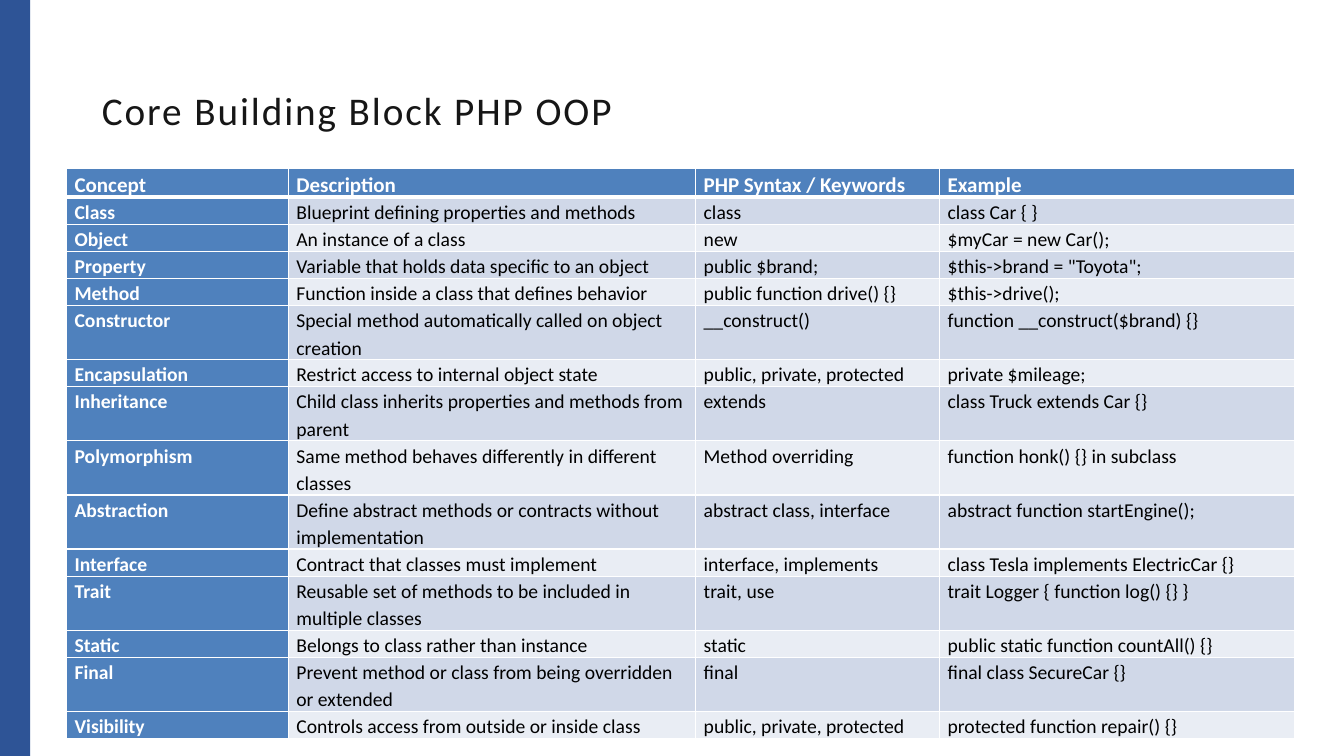
from dataclasses import dataclass

from lxml.etree import SubElement
from pptx import Presentation
from pptx.dml.color import RGBColor
from pptx.enum.shapes import MSO_SHAPE
from pptx.enum.text import MSO_ANCHOR, MSO_AUTO_SIZE, PP_ALIGN
from pptx.oxml.ns import qn
from pptx.slide import Slide
from pptx.util import Inches, Pt

SLIDE_COLUMNS, SLIDE_ROWS = 53.32, 30
BAR_COLUMNS = 1.2
CONCEPT_COLUMNS = (8.8, 16.16, 9.68, 14.08)
ROW_HEIGHT, TALL_ROW_HEIGHT = 0.84, 1.72
TALL_CONCEPTS = ("Abstraction", "Trait", "Final")

CONCEPTS = (
    ("Concept", "Description", "PHP Syntax / Keywords", "Example"),
    ("Class", "Blueprint defining properties and methods", "class", "class Car { }"),
    ("Object", "An instance of a class", "new", "$myCar = new Car();"),
    ("Property", "Variable that holds data specific to an object",
     "public $brand;", '$this->brand = "Toyota";'),
    ("Method", "Function inside a class that defines behavior",
     "public function drive() {}", "$this->drive();"),
    ("Constructor", "Special method automatically called on object creation",
     "__construct()", "function __construct($brand) {}"),
    ("Encapsulation", "Restrict access to internal object state",
     "public, private, protected", "private $mileage;"),
    ("Inheritance", "Child class inherits properties and methods from parent",
     "extends", "class Truck extends Car {}"),
    ("Polymorphism", "Same method behaves differently in different classes",
     "Method overriding", "function honk() {} in subclass"),
    ("Abstraction", "Define abstract methods or contracts without implementation",
     "abstract class, interface", "abstract function startEngine();"),
    ("Interface", "Contract that classes must implement",
     "interface, implements", "class Tesla implements ElectricCar {}"),
    ("Trait", "Reusable set of methods to be included in multiple classes",
     "trait, use", "trait Logger { function log() {} }"),
    ("Static", "Belongs to class rather than instance",
     "static", "public static function countAll() {}"),
    ("Final", "Prevent method or class from being overridden or extended",
     "final", "final class SecureCar {}"),
    ("Visibility", "Controls access from outside or inside class",
     "public, private, protected", "protected function repair() {}"),
)


def grid(units):
    """Length of a number of grid columns or rows, each a quarter inch."""
    return Inches(units * 0.25)


def color(hex_string):
    return RGBColor.from_string(hex_string)


@dataclass
class SlideBuilder:
    slide: Slide
    font_name: str = "Calibri"
    title_color: str = "161616"
    bar_color: str = "2E5496"
    header_color: str = "4F81BD"
    band_colors: tuple = ("E9EDF4", "D0D8E8")
    light: str = "FFFFFF"
    dark: str = "000000"

    def format_runs(self, paragraph, size, hex_string, bold=False):
        for run in paragraph.runs:
            run.font.name = self.font_name
            run.font.size = Pt(size)
            run.font.bold = bold
            run.font.color.rgb = color(hex_string)

    def add_title(self, text, left, top, width, height):
        title = self.slide.shapes.title
        title.left, title.top = grid(left), grid(top)
        title.width, title.height = grid(width), grid(height)
        frame = title.text_frame
        frame.text = text
        frame.word_wrap = True
        frame.auto_size = MSO_AUTO_SIZE.SHAPE_TO_FIT_TEXT
        frame.vertical_anchor = MSO_ANCHOR.TOP
        frame.margin_left = frame.margin_right = frame.margin_bottom = 0
        frame.margin_top = grid(0.88)
        paragraph = frame.paragraphs[0]
        paragraph.alignment = PP_ALIGN.LEFT
        paragraph._p.get_or_add_pPr().set("marL", str(Inches(0.01)))
        self.format_runs(paragraph, 28, self.title_color)
        for run in paragraph.runs:
            run._r.get_or_add_rPr().set("spc", "140")

    def add_bar(self, left, top, width, height):
        bar = self.slide.shapes.add_shape(
            MSO_SHAPE.RECTANGLE, grid(left), grid(top), grid(width), grid(height))
        bar.shadow.inherit = False
        bar.fill.solid()
        bar.fill.fore_color.rgb = color(self.bar_color)
        bar.line.fill.background()

    def add_table(self, rows, left, top, height, column_widths, row_heights):
        graphic_frame = self.slide.shapes.add_table(
            len(rows), len(column_widths), grid(left), grid(top),
            grid(sum(column_widths)), grid(height))
        table = graphic_frame.table
        table.horz_banding = False
        for column, width in zip(table.columns, column_widths):
            column.width = grid(width)
        for row, row_height in zip(table.rows, row_heights):
            row.height = grid(row_height)
        graphic_frame.height = grid(height)
        for row_index, texts in enumerate(rows):
            for column_index, text in enumerate(texts):
                self.fill_cell(table.cell(row_index, column_index), text,
                               row_index, column_index)

    def fill_cell(self, cell, text, row_index, column_index):
        is_header = row_index == 0 or column_index == 0
        self.add_borders(cell, top=3 if row_index == 1 else 1,
                         bottom=3 if row_index == 0 else 1)
        cell.fill.solid()
        cell.fill.fore_color.rgb = color(
            self.header_color if is_header else self.band_colors[row_index % 2])
        cell.margin_left = cell.margin_right = grid(0.32)
        cell.margin_top = cell.margin_bottom = 0
        cell.text_frame.text = text
        paragraph = cell.text_frame.paragraphs[0]
        paragraph.line_spacing = 1.15
        self.format_runs(paragraph, 15 if row_index == 0 else 14,
                         self.light if is_header else self.dark, is_header)

    def add_borders(self, cell, top, bottom):
        """Draw the cell's borders; must run before the cell gets its fill."""
        properties = cell._tc.get_or_add_tcPr()
        for tag, width in (("lnL", 1), ("lnR", 1), ("lnT", top), ("lnB", bottom)):
            line = SubElement(properties, qn(f"a:{tag}"), w=str(Pt(width)))
            fill = SubElement(line, qn("a:solidFill"))
            SubElement(fill, qn("a:srgbClr"), val=self.light)


def main():
    presentation = Presentation()
    presentation.slide_width = grid(SLIDE_COLUMNS)
    presentation.slide_height = grid(SLIDE_ROWS)
    title_only = presentation.slide_layouts.get_by_name("Title Only")
    builder = SlideBuilder(presentation.slides.add_slide(title_only))

    builder.add_title("Core Building Block PHP OOP", 4, 2.56, 23, 2.72)
    builder.add_bar(0, 0, BAR_COLUMNS, SLIDE_ROWS)
    row_heights = [TALL_ROW_HEIGHT if row[0] in TALL_CONCEPTS else ROW_HEIGHT
                   for row in CONCEPTS]
    # The rows grow to fit their text.
    builder.add_table(CONCEPTS, 2.64, 6.68, 21.56, CONCEPT_COLUMNS, row_heights)
    presentation.save("out.pptx")


if __name__ == "__main__":
    main()
